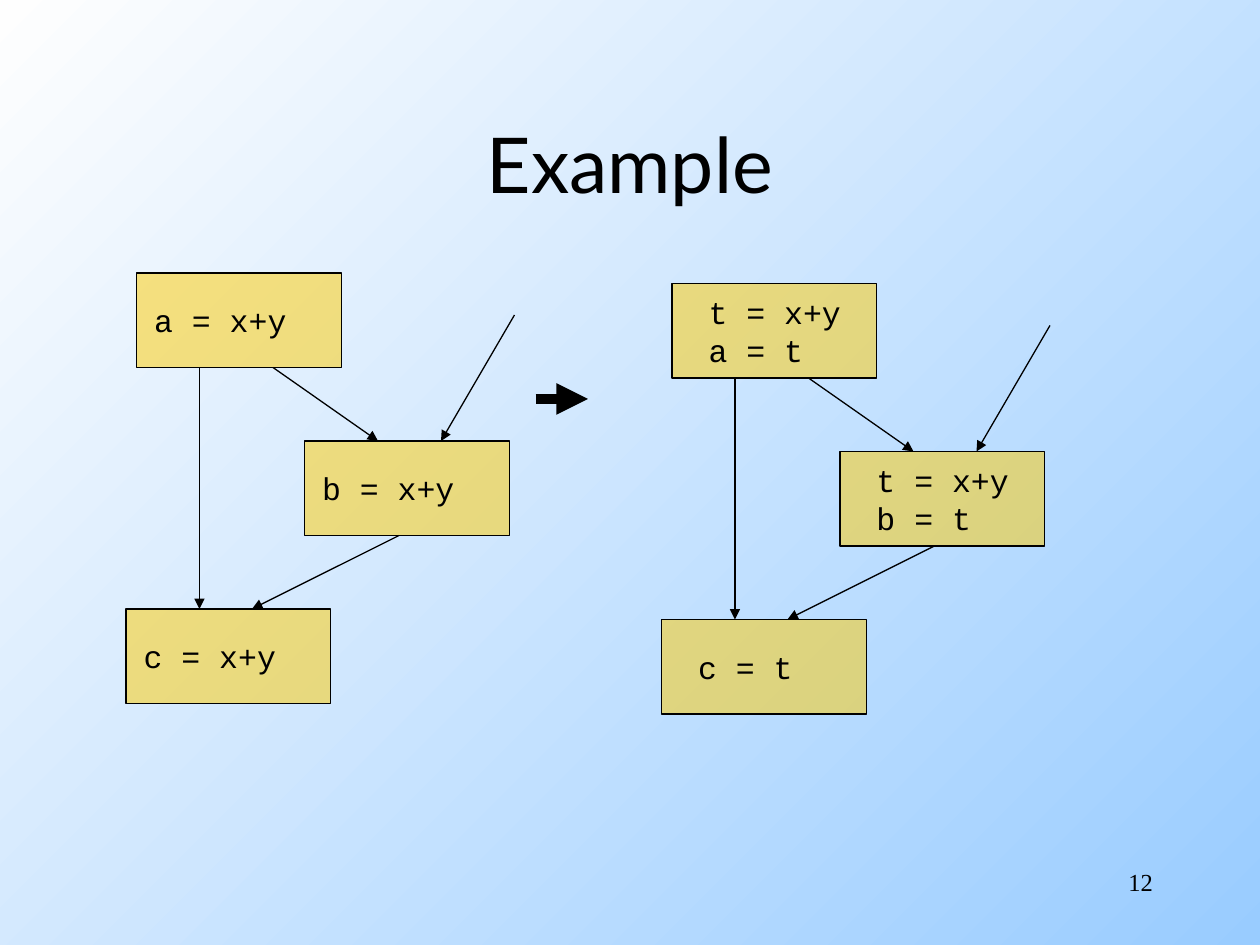
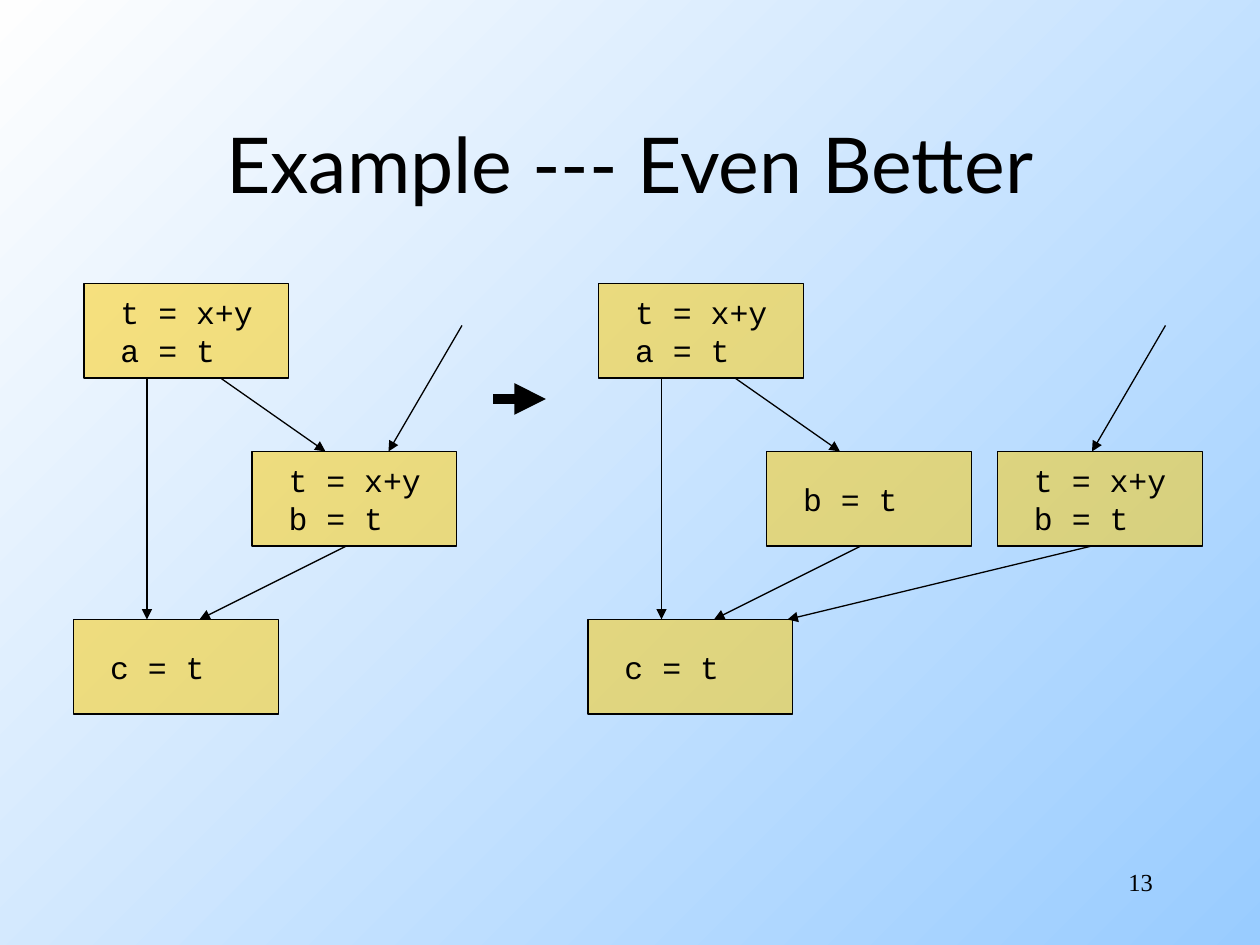
import pptx
import pptx.util
import pptx.dml.color
import pptx.enum.shapes
import pptx.enum.text
import pptx.oxml.ns
import lxml.etree

COLUMNS, ROWS = 120, 90
TITLE_AREA = (9, 8, 102, 15)
NUMBER_AREA = (86, 82, 25, 6)
BLOCK_SIZE = (19.5, 9)

TOP, MIDDLE, BOTTOM, SPLIT = (1, 0), (17, 16), (0, 32), (39, 16)
TOP_TO_BOTTOM = ((7, 9), (7, 32))
TOP_TO_MIDDLE = ((14, 9), (24, 16))
MIDDLE_TO_BOTTOM = ((26, 25), (12, 32))
SPLIT_TO_BOTTOM = ((48, 25), (19, 32))
ENTRY_TO_MIDDLE = ((37, 4), (30, 16))
ENTRY_TO_SPLIT = ((55, 4), (48, 16))
INNER_FLOW = [TOP_TO_BOTTOM, TOP_TO_MIDDLE, MIDDLE_TO_BOTTOM]
JOINED_FLOW = INNER_FLOW + [ENTRY_TO_MIDDLE]
SPLIT_FLOW = INNER_FLOW + [ENTRY_TO_SPLIT, SPLIT_TO_BOTTOM]

REPEATED = [
    (TOP, ["a = x+y"]),
    (MIDDLE, ["b = x+y"]),
    (BOTTOM, ["c = x+y"]),
]
SHARED = [
    (TOP, ["t = x+y", "a = t"]),
    (MIDDLE, ["t = x+y", "b = t"]),
    (BOTTOM, ["c = t"]),
]
DUPLICATED = [
    (TOP, ["t = x+y", "a = t"]),
    (MIDDLE, ["b = t"]),
    (BOTTOM, ["c = t"]),
    (SPLIT, ["t = x+y", "b = t"]),
]

EXAMPLES = [
    {
        "title": "Example",
        "number": "12",
        "graphs": [
            {"origin": (12, 26), "inset": 0.14, "blocks": REPEATED, "flow": JOINED_FLOW},
            {"origin": (63, 27), "inset": 0.29, "blocks": SHARED, "flow": JOINED_FLOW},
        ],
        "step": ((51, 38), (56, 38)),
    },
    {
        "title": "Example --- Even Better",
        "number": "13",
        "graphs": [
            {"origin": (7, 27), "inset": 0.29, "blocks": SHARED, "flow": JOINED_FLOW},
            {"origin": (56, 27), "inset": 0.29, "blocks": DUPLICATED, "flow": SPLIT_FLOW},
        ],
        "step": ((47, 38), (52, 38)),
    },
]

RGB = pptx.dml.color.RGBColor.from_string
Pt = pptx.util.Pt
ALIGN = pptx.enum.text.PP_ALIGN
ANCHOR = pptx.enum.text.MSO_ANCHOR

THEME = {
    "ink": RGB("000000"),
    "block": RGB("FFCC00"),
    "block_alpha": 50,
    "background": [RGB("99CCFF"), RGB("FEFEFE")],
    "background_angle": 135,
    "thin": Pt(0.75),
    "thick": Pt(6),
    "title": {"name": "Lato", "size": Pt(44)},
    "code": {"name": "Courier New", "size": Pt(18)},
    "number": {"name": "Times New Roman", "size": Pt(14)},
}


def columns_rows(*cells):
    return [pptx.util.Inches(cell / 12) for cell in cells]


def apply(target, values):
    for name, value in values.items():
        setattr(target, name, value)


def write(frame, lines, style, align, anchor):
    apply(frame, {
        "word_wrap": True,
        "auto_size": pptx.enum.text.MSO_AUTO_SIZE.NONE,
        "vertical_anchor": anchor,
    })
    for index, line in enumerate(lines):
        paragraph = frame.add_paragraph() if index else frame.paragraphs[0]
        paragraph.text = line
        paragraph.alignment = align
        apply(paragraph.runs[0].font, THEME[style])
        paragraph.runs[0].font.color.rgb = THEME["ink"]


def add_block(shapes, corner, lines, inset):
    block = shapes.add_shape(pptx.enum.shapes.MSO_SHAPE.RECTANGLE,
                             *columns_rows(*corner, *BLOCK_SIZE))
    block.shadow.inherit = False
    block.fill.solid()
    block.fill.fore_color.rgb = THEME["block"]
    fill_color = block._element.spPr.find(".//" + pptx.oxml.ns.qn("a:srgbClr"))
    lxml.etree.SubElement(fill_color, pptx.oxml.ns.qn("a:alpha"),
                          val=str(THEME["block_alpha"] * 1000))
    block.line.color.rgb = THEME["ink"]
    block.line.width = THEME["thin"]
    block.text_frame.margin_left = pptx.util.Inches(inset)
    write(block.text_frame, lines, "code", ALIGN.LEFT, ANCHOR.MIDDLE)


def add_arrow(shapes, start, end, weight):
    arrow = shapes.add_connector(pptx.enum.shapes.MSO_CONNECTOR.STRAIGHT,
                                 *columns_rows(*start, *end))
    arrow.line.color.rgb = THEME["ink"]
    arrow.line.width = THEME[weight]
    lxml.etree.SubElement(arrow.line._get_or_add_ln(),
                          pptx.oxml.ns.qn("a:tailEnd"), type="triangle")
    lxml.etree.SubElement(arrow._element.spPr, pptx.oxml.ns.qn("a:effectLst"))


def add_graph(slide, graph):
    def place(point):
        return tuple(base + offset for base, offset in zip(graph["origin"], point))

    shapes = slide.shapes.add_group_shape().shapes
    for corner, lines in graph["blocks"]:
        add_block(shapes, place(corner), lines, graph["inset"])
    for start, end in graph["flow"]:
        add_arrow(shapes, place(start), place(end), "thin")


def add_example(deck, example):
    slide = deck.slides.add_slide(deck.slide_layouts[5])
    title = slide.shapes.title
    apply(title, dict(zip(("left", "top", "width", "height"), columns_rows(*TITLE_AREA))))
    write(title.text_frame, [example["title"]], "title", ALIGN.CENTER, ANCHOR.MIDDLE)
    for graph in example["graphs"]:
        add_graph(slide, graph)
    add_arrow(slide.shapes, *example["step"], "thick")
    number = slide.shapes.add_textbox(*columns_rows(*NUMBER_AREA))
    write(number.text_frame, [example["number"]], "number", ALIGN.RIGHT, ANCHOR.TOP)


def main():
    deck = pptx.Presentation()
    deck.slide_width, deck.slide_height = columns_rows(COLUMNS, ROWS)
    backdrop = deck.slide_master.background.fill
    backdrop.gradient()
    backdrop.gradient_angle = THEME["background_angle"]
    for stop, color in zip(backdrop.gradient_stops, THEME["background"]):
        stop.color.rgb = color
    for example in EXAMPLES:
        add_example(deck, example)
    deck.save("out.pptx")


if __name__ == "__main__":
    main()
